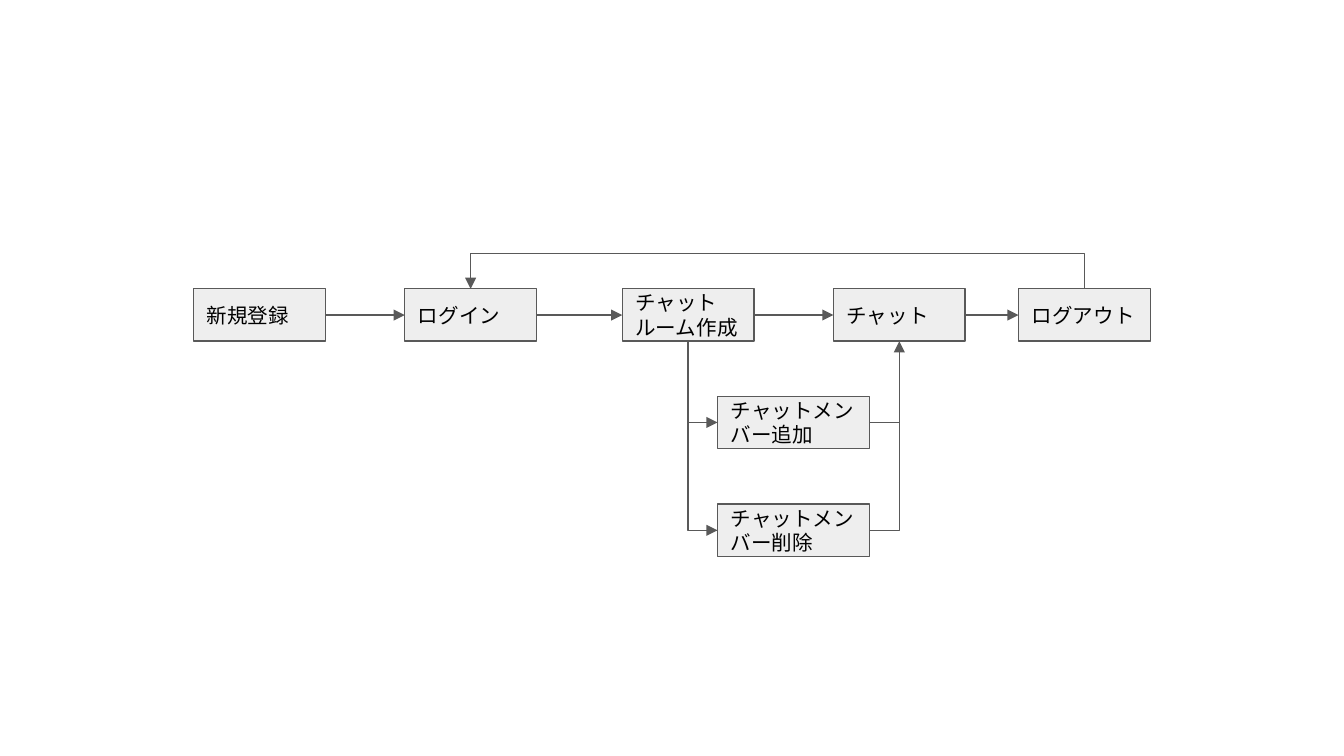
"""Build a chat application screen flow slide."""
from pptx import Presentation
from pptx.dml.color import RGBColor
from pptx.enum import shapes, text
from pptx.oxml import ns, xmlchemy as xc
from pptx.util import Cm, Pt

GREY = "595959"
TOP, BOTTOM, LEFT, RIGHT = 0, 2, 1, 3
BOX_W, MEMBER_W, BOX_H = 2.49, 2.87, 0.99
ROW_Y = 5.46


def paint(fmt, color):
    fmt.solid()
    fmt.fore_color.rgb = RGBColor.from_string(color)


def add_line(kind, x1, y1, x2, y2, arrow=False):
    c = s.shapes.add_connector(kind, Cm(x1), Cm(y1), Cm(x2), Cm(y2))
    paint(c.line.fill, GREY)
    c.line.width = Pt(0.75)
    if arrow:
        tail = xc.OxmlElement("a:tailEnd")
        tail.set("type", "triangle")
        c.line._get_or_add_ln().append(tail)
    c._element.spPr.append(xc.OxmlElement("a:effectLst"))
    return c


prs = Presentation()
prs.slide_width, prs.slide_height = Cm(25.4), Cm(14.29)
s = prs.slides.add_slide(prs.slide_layouts[6])

STRAIGHT = shapes.MSO_CONNECTOR.STRAIGHT
ELBOW = shapes.MSO_CONNECTOR.ELBOW

steps = [
    ("新規登録", 3.66, ROW_Y, BOX_W),
    ("ログイン", 7.65, ROW_Y, BOX_W),
    ("チャットルーム作成", 11.76, ROW_Y, BOX_W),
    ("チャット", 15.75, ROW_Y, BOX_W),
    ("ログアウト", 19.25, ROW_Y, BOX_W),
    ("チャットメンバー追加", 13.56, 7.49, MEMBER_W),
    ("チャットメンバー削除", 13.56, 9.53, MEMBER_W),
]
boxes = []
for label, x, y, w in steps:
    sp = s.shapes.add_shape(shapes.MSO_SHAPE.RECTANGLE, Cm(x), Cm(y), Cm(w), Cm(BOX_H))
    sp.shadow.inherit = False
    paint(sp.fill, "EEEEEE")
    paint(sp.line.fill, GREY)
    sp.line.width = Pt(0.75)
    tf = sp.text_frame
    tf.text = label
    tf.word_wrap = True
    tf.vertical_anchor = text.MSO_ANCHOR.MIDDLE
    tf.margin_left = tf.margin_right = tf.margin_top = tf.margin_bottom = Cm(0.25)
    p = tf.paragraphs[0]
    p.alignment = text.PP_ALIGN.LEFT
    r = p.runs[0]
    r.font.name = "Arial"
    r.font.size = Pt(11)
    paint(r.font.fill, "000000")
    boxes.append(sp)

flow = boxes[:5]
for start, end in zip(flow, flow[1:]):
    c = add_line(STRAIGHT, 0, 0, 1, 1, arrow=True)
    c.begin_connect(start, RIGHT)
    c.end_connect(end, LEFT)

login_x, room_x, chat_x, logout_x = (x + BOX_W / 2 for _, x, _, _ in steps[1:5])
row_bottom = ROW_Y + BOX_H
for _, x, y, w in steps[5:]:
    mid = y + BOX_H / 2
    for side_x, trunk_x in ((x, room_x), (x + w, chat_x)):
        c = add_line(ELBOW, side_x, mid, trunk_x, row_bottom)
        c._element.spPr.find(ns.qn("a:prstGeom")).set("prst", "bentConnector2")
    add_line(STRAIGHT, room_x, mid, x, mid, arrow=True)
add_line(STRAIGHT, chat_x, steps[5][2] + BOX_H / 2, chat_x, row_bottom, arrow=True)

rise, depth = 0.66, 0.01
span, center_x = logout_x - login_x, (login_x + logout_x) / 2
c = add_line(ELBOW, center_x - depth / 2, ROW_Y - span / 2, center_x + depth / 2, ROW_Y + span / 2)
c.rotation = 90
c._element.spPr.find(ns.qn("a:xfrm")).set("rot", "5400000")
geom = c._element.spPr.find(ns.qn("a:prstGeom"))
guides = geom.find(ns.qn("a:avLst"))
guide = xc.OxmlElement("a:gd")
guide.set("name", "adj1")
guide.set("fmla", f"val {round(-rise / depth * 100000)}")
guides.append(guide)
add_line(STRAIGHT, login_x, ROW_Y - rise, login_x, ROW_Y, arrow=True)

prs.save("out.pptx")
